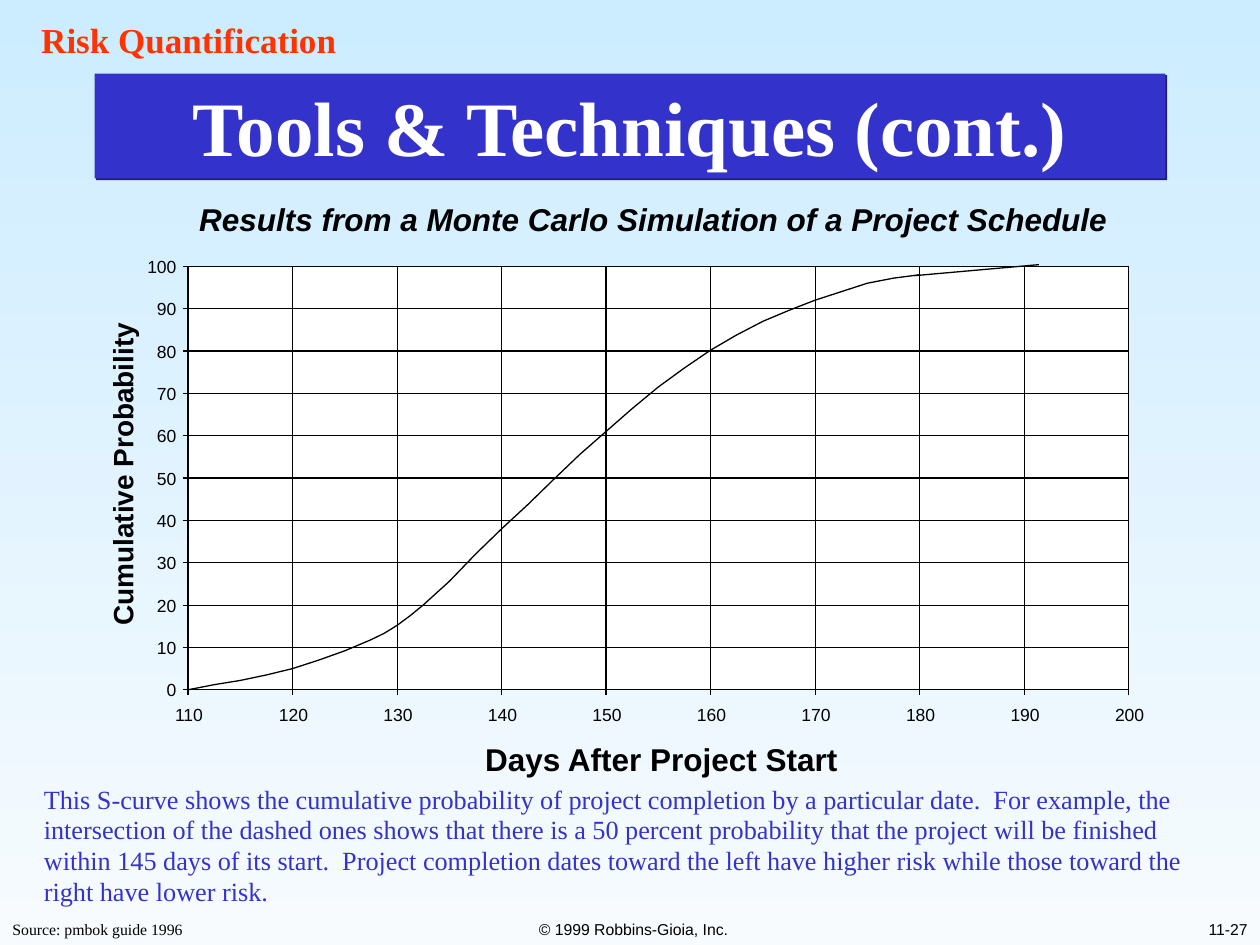
from lxml import etree
from pptx import Presentation
from pptx.dml.color import RGBColor
from pptx.enum.shapes import MSO_CONNECTOR, MSO_SHAPE
from pptx.enum.text import MSO_ANCHOR, MSO_AUTO_SIZE, PP_ALIGN
from pptx.oxml import parse_xml
from pptx.oxml.ns import nsdecls, qn
from pptx.util import Pt

STRAIGHT = MSO_CONNECTOR.STRAIGHT
RECTANGLE = MSO_SHAPE.RECTANGLE
TOP, MIDDLE, BOTTOM = MSO_ANCHOR.TOP, MSO_ANCHOR.MIDDLE, MSO_ANCHOR.BOTTOM
NO_AUTOFIT = MSO_AUTO_SIZE.NONE
LEFT, CENTER, RIGHT = PP_ALIGN.LEFT, PP_ALIGN.CENTER, PP_ALIGN.RIGHT

BLACK = RGBColor(0x00, 0x00, 0x00)
WHITE = RGBColor(0xFF, 0xFF, 0xFF)
BLUE = RGBColor(0x33, 0x33, 0xCC)
RED = RGBColor(0xFF, 0x33, 0x00)
SKY = RGBColor(0xCC, 0xEC, 0xFF)
MIST = RGBColor(0xF7, 0xFB, 0xFE)
SERIF, SANS = "Times New Roman", "Arial"
INSETS = (7.2, 3.6)

FIRST_DAY, LAST_DAY, STEP = 110, 200, 10
CURVE = [
    (110, 0), (112.5, 1.2), (115, 2.2), (117.5, 3.5), (120, 5),
    (122.5, 7), (125, 9.2), (127.5, 11.8), (128.75, 13.3), (130, 15.2),
    (131.25, 17.5), (132.5, 20), (133.75, 22.8), (135, 25.6), (137.5, 32),
    (140, 38), (142.5, 43.7), (145, 49.7), (147.5, 55.6), (150, 61),
    (152.5, 66.4), (155, 71.5), (157.5, 76), (160, 80.2), (162.5, 83.8),
    (165, 87), (167.5, 89.6), (170, 92), (172.5, 94), (175, 96),
    (177.5, 97.2), (180, 98),
]
CURVE_END = [(179.5, 97.8), (191.4, 100.4)]


def write(frame, text, size=10, font=SANS, color=BLACK, bold=False, italic=False,
          align=LEFT, anchor=TOP, insets=(0, 0), wrap=False, spacing=None):
    frame.auto_size = NO_AUTOFIT
    frame.word_wrap = wrap
    frame.vertical_anchor = anchor
    frame.margin_left = frame.margin_right = Pt(insets[0])
    frame.margin_top = frame.margin_bottom = Pt(insets[1])
    para = frame.paragraphs[0]
    para.alignment = align
    if spacing:
        para.line_spacing = spacing
    span = para.add_run()
    span.text = text
    span.font.size = Pt(size)
    span.font.name = font
    span.font.color.rgb = color
    span.font.bold = bold
    span.font.italic = italic


def add_text(page, text, left, top, width, height, rotation=0, **style):
    box = page.shapes.add_textbox(Pt(left), Pt(top), Pt(width), Pt(height))
    box.rotation = rotation
    write(box.text_frame, text, **style)


def add_line(page, x1, y1, x2, y2):
    line = page.shapes.add_connector(STRAIGHT, Pt(x1), Pt(y1), Pt(x2), Pt(y2))
    line.line.color.rgb = BLACK
    line.line.width = Pt(0.75)
    etree.SubElement(line._element.spPr, qn("a:effectLst"))


def paint_background(page):
    fill = page.background.fill
    fill.gradient()
    fill.gradient_angle = 270
    for stop, color, position in zip(fill.gradient_stops, (SKY, MIST), (0, 1)):
        stop.color.rgb = color
        stop.position = position


def place_title(page, left, top, width, height):
    title = page.shapes.title
    title.left, title.top, title.width, title.height = map(Pt, (left, top, width, height))
    title.fill.solid()
    title.fill.fore_color.rgb = BLUE
    title._element.spPr.append(parse_xml(
        f'<a:effectLst {nsdecls("a")}><a:outerShdw dist="17780" dir="2700000" '
        'algn="ctr" rotWithShape="0"><a:srgbClr val="1E1E79"/></a:outerShdw></a:effectLst>'))
    write(title.text_frame, "Tools & Techniques (cont.)", size=44, font=SERIF, color=WHITE,
          bold=True, align=CENTER, anchor=MIDDLE, insets=INSETS, wrap=True)


def draw_s_curve_plot(page, left, top, width, height):
    right, bottom = left + width, top + height

    def day_x(day):
        return left + width * (day - FIRST_DAY) / (LAST_DAY - FIRST_DAY)

    def probability_y(probability):
        return bottom - height * probability / 100

    plot = page.shapes.add_shape(RECTANGLE, Pt(left), Pt(top), Pt(width), Pt(height))
    plot.shadow.inherit = False
    plot.fill.solid()
    plot.fill.fore_color.rgb = WHITE
    plot.line.fill.background()

    for probability in range(0, 101, STEP):
        y = probability_y(probability)
        add_line(page, left, y, right, y)
        add_line(page, left - 3, y, left + 3, y)
        add_text(page, str(probability), left - 31.7, y - 6, 25, 12, align=RIGHT, wrap=True)

    for day in range(FIRST_DAY, LAST_DAY + 1, STEP):
        x = day_x(day)
        add_line(page, x, top, x, bottom)
        add_line(page, x, bottom + 3, x, bottom - 3)
        add_text(page, str(day), x - 12, bottom + 8, 25, 12, align=CENTER, wrap=True)

    points = [(Pt(day_x(day)), Pt(probability_y(value))) for day, value in CURVE]
    builder = page.shapes.build_freeform(*points[0])
    builder.add_line_segments(points[1:], close=False)
    curve = builder.convert_to_shape()
    curve.shadow.inherit = False
    curve.fill.background()
    curve.line.color.rgb = BLACK
    curve.line.width = Pt(0.75)

    (start_day, start_value), (end_day, end_value) = CURVE_END
    add_line(page, day_x(start_day), probability_y(start_value),
             day_x(end_day), probability_y(end_value))

    add_text(page, "Results from a Monte Carlo Simulation of a Project Schedule",
             left + 6.3, top - 38, 519, 21.6, size=18, bold=True, italic=True)
    add_text(page, "Days After Project Start", left + 169.7, bottom + 28.8, 202.3, 21.6,
             size=18, bold=True)
    add_text(page, "Cumulative Probability", left - 124, top + 109.2, 172.8, 19.4,
             rotation=270, size=16, bold=True)


def place_footer(page, left, top, width, height):
    add_text(page, "Source: pmbok guide 1996", left, top + 18, 111.6, 18,
             size=9, font=SERIF, insets=INSETS)
    add_text(page, "© 1999 Robbins-Gioia, Inc.", left + 245, top, 234, height, size=9,
             align=CENTER, anchor=BOTTOM, insets=INSETS, wrap=True)
    add_text(page, "11-27", left + width - 234, top, 234, height, size=9,
             align=RIGHT, anchor=BOTTOM, insets=INSETS, wrap=True)


def main():
    deck = Presentation()
    deck.slide_width, deck.slide_height = Pt(720), Pt(540)
    page = deck.slides.add_slide(deck.slide_layouts[5])
    paint_background(page)
    place_footer(page, 0, 504, 720, 36)
    add_text(page, "Risk Quantification", 16.5, 7.2, 183, 31.7, size=20, font=SERIF,
             color=RED, bold=True, insets=INSETS)
    place_title(page, 54, 42, 612, 60)
    draw_s_curve_plot(page, 107.5, 152.2, 537.5, 242)
    add_text(page, "This S-curve shows the cumulative probability of project completion by a "
             "particular date.  For example, the intersection of the dashed ones shows that "
             "there is a 50 percent probability that the project will be finished within 145 "
             "days of its start.  Project completion dates toward the left have higher risk "
             "while those toward the right have lower risk.",
             18, 445, 678, 77, size=15, font=SERIF, color=BLUE, insets=INSETS, wrap=True,
             spacing=0.97)
    deck.save("out.pptx")


if __name__ == "__main__":
    main()
